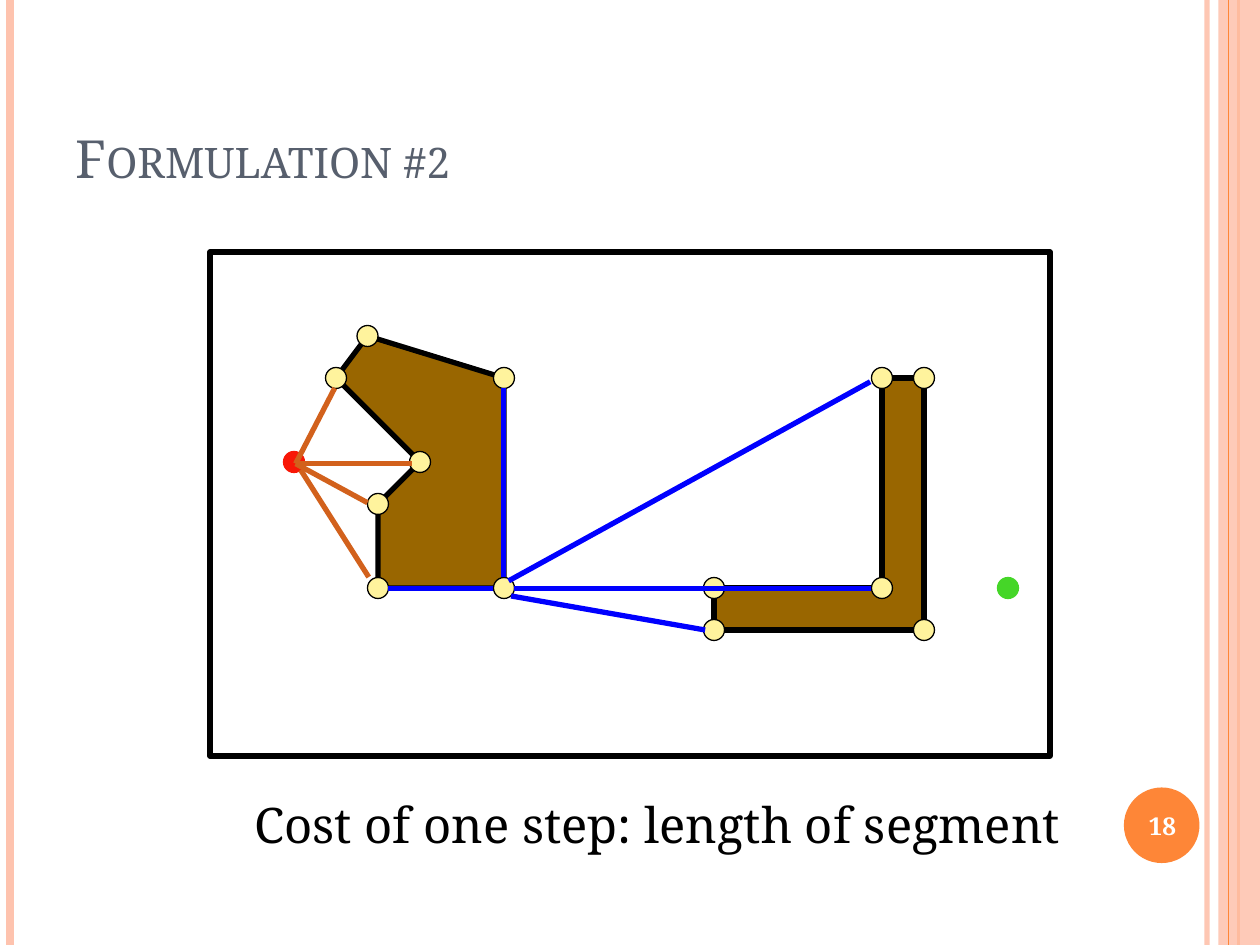
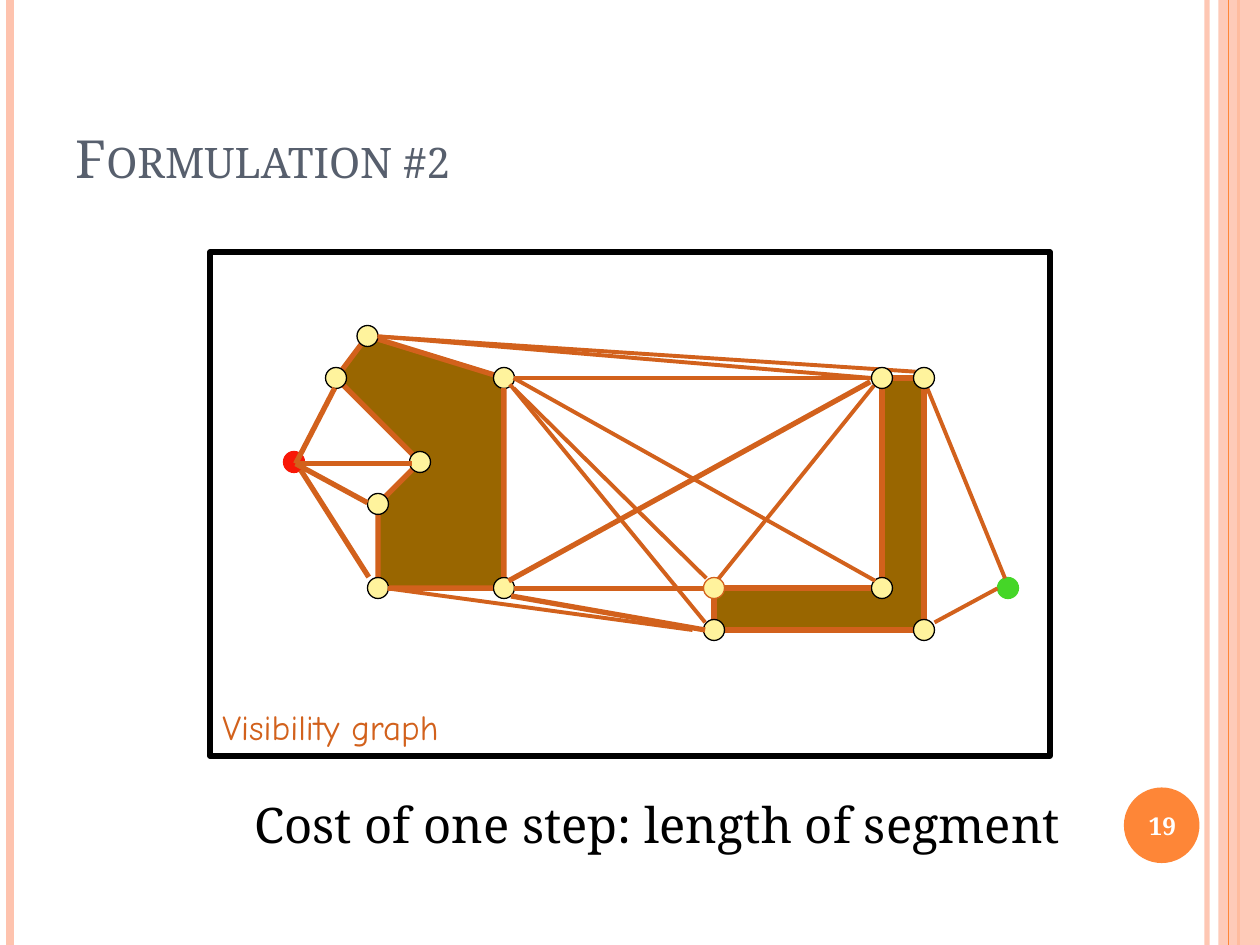
from dataclasses import dataclass

from lxml import etree
from pptx import Presentation
from pptx import util as u
from pptx.dml.color import RGBColor
from pptx.enum import shapes, text
from pptx.oxml.ns import qn


@dataclass(frozen=True)
class Theme:
    serif: str = "Noto Serif"
    hand: str = "Comic Neue"
    title_size: int = 30
    caption_size: int = 28
    label_size: int = 20
    number_size: int = 14
    title: str = "575F6D"
    band: str = "FEC3AE"
    accent: str = "FE8637"
    white: str = "FFFFFF"
    black: str = "000000"
    obstacle: str = "996600"
    node: str = "FFF39D"
    start: str = "F81706"
    goal: str = "45D628"
    step: str = "0000FF"
    graph: str = "D2611C"
    hairline: float = 0.75
    thin: float = 2.25
    thick: float = 3


THEME = Theme()
CELL = 1 / 12
NODE_SIZE = 2 * CELL
MAP_BOX = (20 * CELL, 2, 80 * CELL, 4)

LEFT_OBSTACLE = [(12, 12), (20, 20), (16, 24), (16, 32), (28, 32), (28, 12), (15, 8)]
RIGHT_OBSTACLE = [(48, 32), (48, 36), (68, 36), (68, 12), (64, 12), (64, 32)]
START, GOAL = (8, 20), (76, 32)

START_SEGMENTS = [
    (0.68, 1.68, 1.25, 1.99), (0.68, 1.68, 1.6, 1.68),
    (0.68, 1.68, 0.99, 1.08), (0.72, 1.73, 1.26, 2.58),
]
CORNER_SEGMENTS = [
    (2.41, 2.67, 3.91, 2.67), (2.37, 2.61, 5.24, 1.03), (2.39, 2.73, 3.93, 3),
    (2.25, 2.67, 1.41, 2.67), (2.33, 2.58, 2.33, 1.08), (2.41, 2.67, 5.25, 2.67),
]
OTHER_SEGMENTS = [
    (2.41, 1, 5.25, 1), (2.41, 1, 5.28, 2.61), (1.33, 0.67, 5.25, 1),
    (1.33, 0.67, 5.6, 0.95), (2.41, 1.08, 3.94, 2.59), (1.41, 2.67, 3.83, 3),
    (2.38, 1.05, 3.93, 2.94), (5.27, 1.06, 4.03, 2.6),
    (6.25, 2.67, 5.75, 2.94), (6.31, 2.59, 5.66, 1),
]


def set_alpha(fill_owner, percent):
    for color in fill_owner.iter(qn("a:srgbClr")):
        etree.SubElement(color, qn("a:alpha")).set("val", str(percent * 1000))


def paint(shape, fill=None, line=None, width=THEME.hairline):
    shape.shadow.inherit = False
    if fill:
        shape.fill.solid()
        shape.fill.fore_color.rgb = RGBColor.from_string(fill)
    else:
        shape.fill.background()
    if line:
        shape.line.color.rgb = RGBColor.from_string(line)
        shape.line.width = u.Pt(width)
    else:
        shape.line.fill.background()
    return shape


def add_preset(page, kind, box, **look):
    return paint(page.shapes.add_shape(kind, *map(u.Inches, box)), **look)


def add_line(page, ends, color, width):
    line = page.shapes.add_connector(shapes.MSO_CONNECTOR.STRAIGHT, *map(u.Inches, ends))
    line.line.color.rgb = RGBColor.from_string(color)
    line.line.width = u.Pt(width)
    etree.SubElement(line._element.spPr, qn("a:effectLst"))
    return line


def add_text(page, box, words, size, color, font=THEME.serif, wrap=True,
             anchor=text.MSO_ANCHOR.TOP, align=text.PP_ALIGN.LEFT, bold=False):
    frame = page.shapes.add_textbox(*map(u.Inches, box)).text_frame
    frame.word_wrap = wrap
    frame.vertical_anchor = anchor
    para = frame.paragraphs[0]
    para.alignment = align
    span = para.add_run()
    span.text = words
    span.font.name = font
    span.font.size = u.Pt(size)
    span.font.bold = bold
    span.font.color.rgb = RGBColor.from_string(color)
    return span


def add_bands(page, height):
    def stripe(x, color, width):
        return add_line(page, (x, 0, x, height), color, width)

    set_alpha(stripe(9.58, THEME.band, 3)._element, 93)
    stripe(0.08, THEME.band, 4.5)
    stripe(9.83, THEME.accent, 1.5)
    panel = add_preset(page, shapes.MSO_SHAPE.RECTANGLE, (9.67, 0, 0.33, height), fill=THEME.band)
    set_alpha(panel._element.spPr, 87)
    stripe(9.75, THEME.accent, 0.75)


def add_title(page, box, words):
    span = add_text(page, box, words, THEME.title_size, THEME.title,
                    anchor=text.MSO_ANCHOR.BOTTOM)
    span.font._element.set("cap", "small")


def add_page_number(page, box, number):
    left, top, width, height = box
    add_preset(page, shapes.MSO_SHAPE.OVAL, box, fill=THEME.accent)
    add_text(page, (left - 0.03, top + 0.02, width + 0.07, height - 0.03), str(number),
             THEME.number_size, THEME.white, anchor=text.MSO_ANCHOR.MIDDLE,
             align=text.PP_ALIGN.CENTER, bold=True)


def add_map(page, box, outline, segments, front_nodes, label=None):
    left, top, width, height = box

    def place(cell):
        return left + cell[0] * CELL, top + cell[1] * CELL

    def add_obstacle(corners):
        points = [tuple(map(u.Inches, place(corner))) for corner in corners]
        builder = page.shapes.build_freeform(*points[0])
        builder.add_line_segments(points[1:], close=True)
        paint(builder.convert_to_shape(), THEME.obstacle, outline, THEME.thick)

    def add_node(cell, fill=THEME.node, line=THEME.black):
        x, y = place(cell)
        add_preset(page, shapes.MSO_SHAPE.OVAL,
                   (x - NODE_SIZE / 2, y - NODE_SIZE / 2, NODE_SIZE, NODE_SIZE),
                   fill=fill, line=line)

    add_preset(page, shapes.MSO_SHAPE.RECTANGLE, box, line=THEME.black, width=THEME.thick)
    add_obstacle(LEFT_OBSTACLE)
    add_node(START, THEME.start, THEME.start)
    add_obstacle(RIGHT_OBSTACLE)
    add_node(GOAL, THEME.goal, THEME.goal)
    for corner in LEFT_OBSTACLE + RIGHT_OBSTACLE:
        if corner not in front_nodes:
            add_node(corner)
    for group, color, weight in segments:
        for x1, y1, x2, y2 in group:
            add_line(page, (left + x1, top + y1, left + x2, top + y2), color, weight)
    for corner, color in front_nodes.items():
        add_node(corner, line=color)
    if label:
        add_text(page, (left, top + height - 0.45, 2.16, 0.43), label,
                 THEME.label_size, THEME.graph, font=THEME.hand, wrap=False)


def add_formulation_page(deck, number, **map_content):
    page = deck.slides.add_slide(deck.slide_layouts[6])
    add_bands(page, 7.5)
    add_title(page, (0.5, 0.3, 8.17, 1.25), "Formulation #2")
    add_page_number(page, (8.92, 6.25, 0.6, 0.6), number)
    add_map(page, MAP_BOX, **map_content)
    add_text(page, (1.92, 6.26, 6.7, 0.57), "Cost of one step: length of segment",
             THEME.caption_size, THEME.black, wrap=False)


deck = Presentation()
deck.slide_width, deck.slide_height = u.Inches(10), u.Inches(7.5)
add_formulation_page(
    deck, 18, outline=THEME.black, front_nodes={},
    segments=[(CORNER_SEGMENTS, THEME.step, THEME.thick),
              (START_SEGMENTS, THEME.graph, THEME.thick)])
add_formulation_page(
    deck, 19, outline=THEME.graph, label="Visibility graph",
    front_nodes={(48, 32): THEME.graph, (68, 12): THEME.black, (64, 12): THEME.black},
    segments=[(CORNER_SEGMENTS + START_SEGMENTS, THEME.graph, THEME.thick),
              (OTHER_SEGMENTS, THEME.graph, THEME.thin)])
deck.save("out.pptx")
